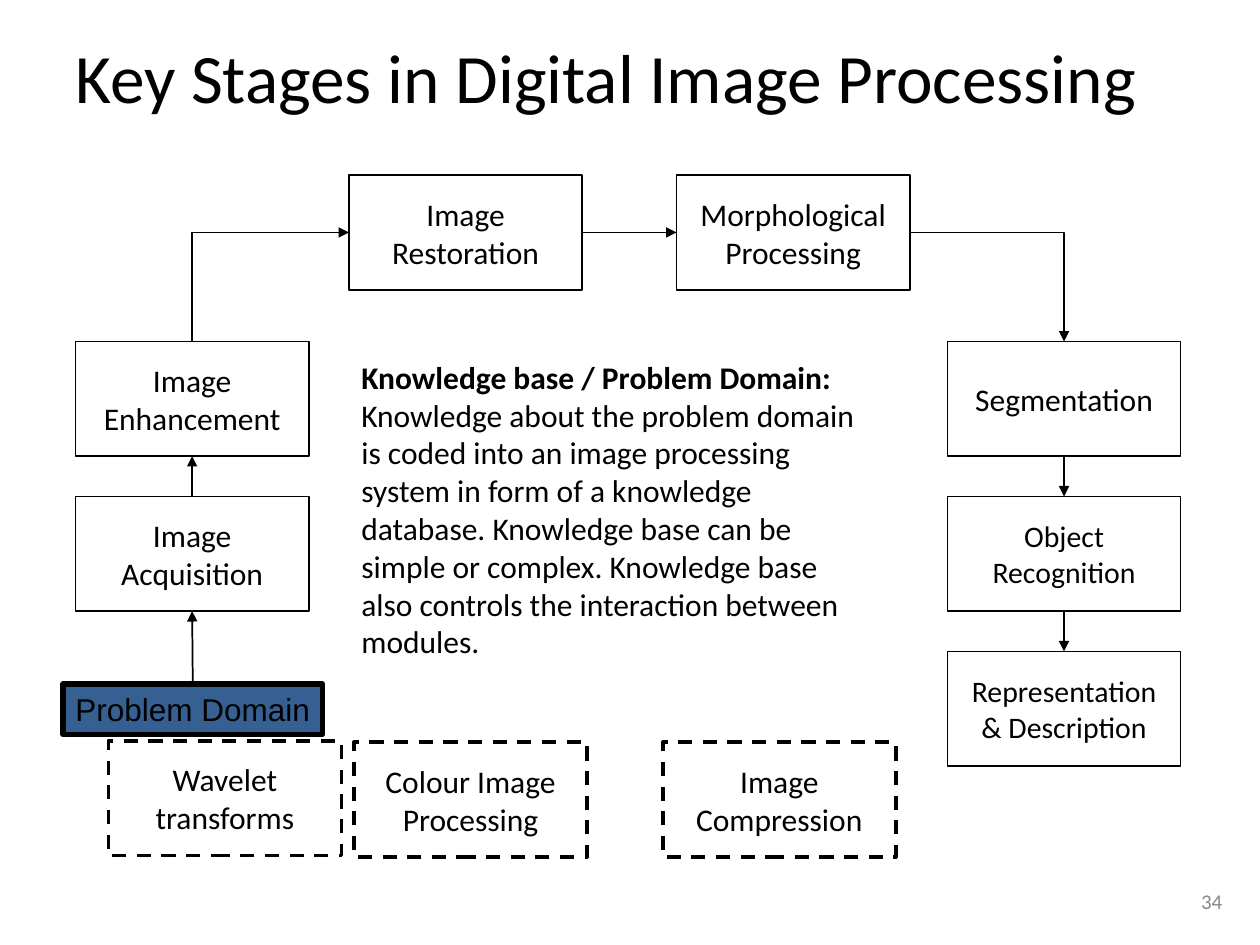
from lxml import etree
from pptx import Presentation
from pptx.dml.color import RGBColor
from pptx.enum.dml import MSO_LINE
from pptx.enum.shapes import MSO_CONNECTOR, MSO_SHAPE
from pptx.enum.text import MSO_ANCHOR, PP_ALIGN
from pptx.oxml.ns import qn
from pptx.util import Inches, Pt

RECTANGLE, DASH = MSO_SHAPE.RECTANGLE, MSO_LINE.DASH
STRAIGHT, ELBOW = MSO_CONNECTOR.STRAIGHT, MSO_CONNECTOR.ELBOW
LEFT, CENTER, RIGHT = PP_ALIGN.LEFT, PP_ALIGN.CENTER, PP_ALIGN.RIGHT
TOP_ANCHOR, MIDDLE = MSO_ANCHOR.TOP, MSO_ANCHOR.MIDDLE
TOP_SIDE, LEFT_SIDE, BOTTOM_SIDE, RIGHT_SIDE = range(4)

THEME = {
    "ink": "000000", "paper": "FFFFFF", "domain": "366092", "muted": "888888",
    "font": "Calibri", "domain_font": "Arial",
    "title": 39.6, "body": 18, "compact": 17, "number": 12,
    "thin": 1, "dashed": 2, "thick": 3,
}

TITLE = "Key Stages in Digital Image Processing"
SLIDE_NUMBER = "34"
DOMAIN = "Problem Domain"
KNOWLEDGE = [
    ("Knowledge base / Problem Domain:", True),
    (" Knowledge about the problem domain is coded into an image processing "
     "system in form of a knowledge database. Knowledge base can be simple or "
     "complex. Knowledge base also controls the interaction between modules.", False),
]
# stage: column, row, type size
STAGES = {
    "Image Acquisition": (0, 2, "body"),
    "Image Restoration": (1, 0, "body"),
    "Morphological Processing": (2, 0, "body"),
    "Segmentation": (3, 1, "body"),
    "Representation & Description": (3, 3, "compact"),
    "Image Enhancement": (0, 1, "body"),
    "Object Recognition": (3, 2, "compact"),
}
# supporting stage: left, top
SUPPORTING = {
    "Colour Image Processing": (2.81, 5.89),
    "Image Compression": (5.26, 5.89),
    "Wavelet transforms": (0.86, 5.88),
}
FLOWS = [
    (DOMAIN, TOP_SIDE, "Image Acquisition", BOTTOM_SIDE),
    ("Image Acquisition", TOP_SIDE, "Image Enhancement", BOTTOM_SIDE),
    ("Object Recognition", BOTTOM_SIDE, "Representation & Description", TOP_SIDE),
    ("Segmentation", BOTTOM_SIDE, "Object Recognition", TOP_SIDE),
    ("Image Restoration", RIGHT_SIDE, "Morphological Processing", LEFT_SIDE),
]

COLUMNS = (0.6, 2.77, 5.37, 7.52)
FIRST_ROW, SECOND_ROW, ROW_PITCH = 1.39, 2.71, 1.23
BOX_W, BOX_H = 1.85, 0.91

prs = Presentation()
prs.slide_width, prs.slide_height = Inches(10), Inches(7.5)
slide = prs.slides.add_slide(prs.slide_layouts[6])


def color(name):
    return RGBColor.from_string(THEME[name])


def write(shape, text, size="body", font="font", ink="ink", align=LEFT,
          anchor=TOP_ANCHOR, wrap=True):
    """Fill a shape with one paragraph; text is a string or (text, bold) runs."""
    frame = shape.text_frame
    frame.word_wrap, frame.vertical_anchor = wrap, anchor
    paragraph = frame.paragraphs[0]
    paragraph.alignment = align
    for words, bold in [(text, False)] if isinstance(text, str) else text:
        run = paragraph.add_run()
        run.text = words
        run.font.bold = bold
        run.font.size, run.font.name = Pt(THEME[size]), THEME[font]
        run.font.color.rgb = color(ink)


def text_box(bounds, text, **text_format):
    write(slide.shapes.add_textbox(*map(Inches, bounds)), text, **text_format)


def box(bounds, text, fill="paper", line="thin", dash=None, **text_format):
    shape = slide.shapes.add_shape(RECTANGLE, *map(Inches, bounds))
    shape.shadow.inherit = False
    shape.fill.solid()
    shape.fill.fore_color.rgb = color(fill)
    shape.line.color.rgb = color("ink")
    shape.line.width = Pt(THEME[line])
    if dash:
        shape.line.dash_style = dash
    write(shape, text, **text_format)
    return shape


def arrow(kind, *ends):
    connector = slide.shapes.add_connector(kind, *ends)
    connector.line.color.rgb = color("ink")
    connector.line.width = Pt(THEME["thin"])
    properties = connector.element.spPr
    etree.SubElement(properties.find(qn("a:ln")), qn("a:tailEnd"), type="triangle")
    etree.SubElement(properties, qn("a:effectLst"))
    return connector


def corner_arrow(start, end, upward=False):
    """One-bend arrow: across then down, or up then across if upward."""
    (x1, y1), (x2, y2) = start, end
    if upward:  # a quarter turn swaps width and height about the same centre
        mid_x, mid_y = (x1 + x2) // 2, (y1 + y2) // 2
        half_w, half_h = abs(y2 - y1) // 2, abs(x2 - x1) // 2
        x1, y1 = mid_x - half_w, mid_y - half_h
        x2, y2 = mid_x + half_w, mid_y + half_h
    properties = arrow(ELBOW, x1, y1, x2, y2).element.spPr
    properties.find(qn("a:prstGeom")).set("prst", "bentConnector2")
    if upward:
        properties.find(qn("a:xfrm")).set("rot", str(270 * 60000))


def side(shape, number):
    """Middle of a side, numbered like connection sites."""
    across, down = ((1, 0), (0, 1), (1, 2), (2, 1))[number]
    return (shape.left + shape.width * across // 2,
            shape.top + shape.height * down // 2)


text_box((0.5, 0.3, 9, 0.61), TITLE, size="title", anchor=MIDDLE)
text_box((7.47, 6.95, 2.33, 0.4), SLIDE_NUMBER, size="number", ink="muted",
         align=RIGHT, anchor=MIDDLE)

boxes = {}
for stage, (column, row, size) in STAGES.items():
    top = SECOND_ROW + (row - 1) * ROW_PITCH if row else FIRST_ROW
    boxes[stage] = box((COLUMNS[column], top, BOX_W, BOX_H), stage, size=size,
                       align=CENTER, anchor=MIDDLE)
boxes[DOMAIN] = box((0.5, 5.43, 2.06, 0.4), DOMAIN, fill="domain", line="thick",
                    font="domain_font", wrap=False)

for source, source_side, target, target_side in FLOWS:
    flow = arrow(STRAIGHT, *side(boxes[source], source_side),
                 *side(boxes[target], target_side))
    flow.begin_connect(boxes[source], source_side)
    flow.end_connect(boxes[target], target_side)
corner_arrow(side(boxes["Morphological Processing"], RIGHT_SIDE),
             side(boxes["Segmentation"], TOP_SIDE))
corner_arrow(side(boxes["Image Enhancement"], TOP_SIDE),
             side(boxes["Image Restoration"], LEFT_SIDE), upward=True)

for stage, corner in SUPPORTING.items():
    box((*corner, BOX_W, BOX_H), stage, line="dashed", dash=DASH,
        align=CENTER, anchor=MIDDLE)
text_box((2.77, 2.79, 4.2, 2.52), KNOWLEDGE)

prs.save("out.pptx")
